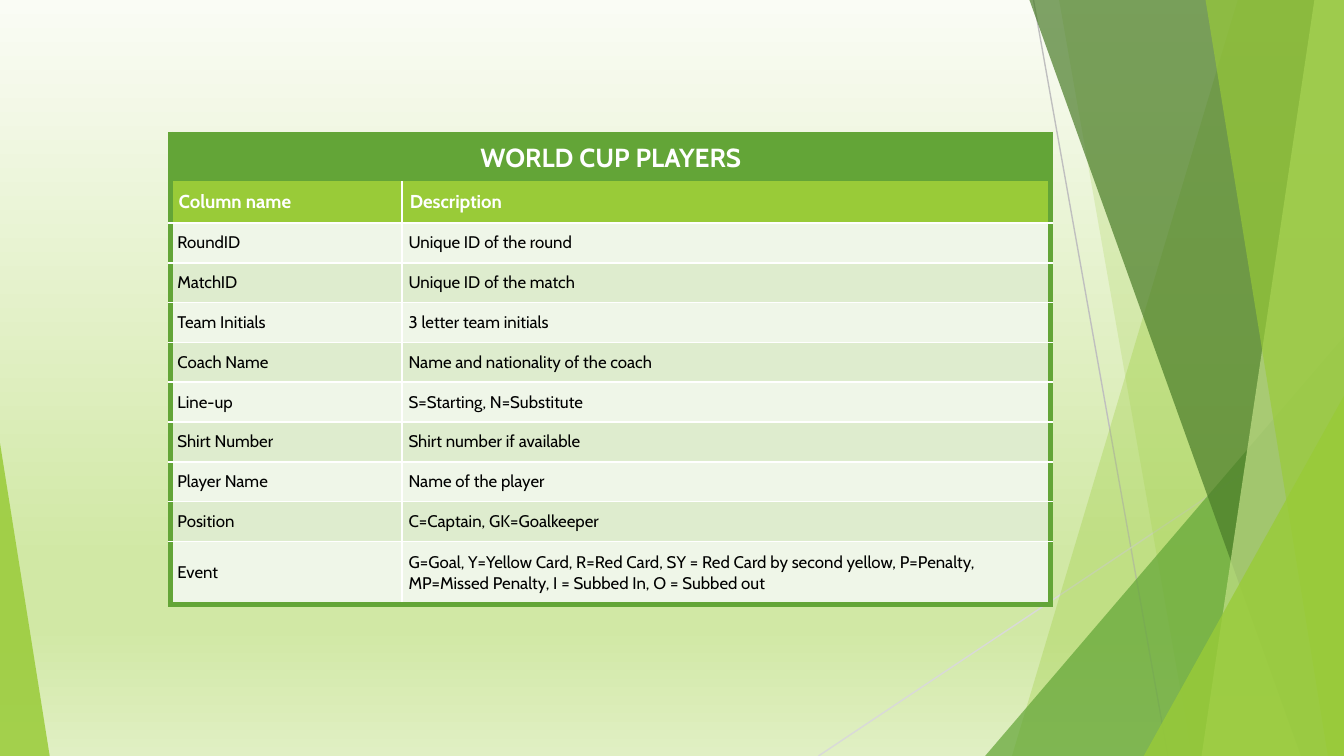
from lxml.etree import SubElement
from pptx import Presentation
from pptx.dml.color import RGBColor
from pptx.enum.shapes import MSO_CONNECTOR, MSO_SHAPE
from pptx.enum.text import MSO_ANCHOR, PP_ALIGN
from pptx.oxml.ns import qn
from pptx.util import Inches, Pt

WIDTH = 10
HEIGHT = WIDTH * 9 / 16
GREEN, LIME, WHITE, BLACK = "63A537", "99CB38", "FFFFFF", "000000"
BAND_FILLS = ["EFF6E8", "DEECCE"]
BACKGROUND_STOPS = [(0, "FAFCF5"), (74, "D1E8A5"), (83, "D1E8A5"), (100, "E0EFC3")]

# start, end, colour
THIN_LINES = [((7.69, 0), (8.69, HEIGHT), "BFBFBF"), ((10, 3.02), (6.09, HEIGHT), "D9D9D9")]
# Each band reaches the right edge: top left x, bottom left x, colour, opacity in percent
BACK_BANDS = [(9.21, 7.53, LIME, 30), (7.88, 8.87, LIME, 20)]
FRONT_BANDS = [(7.66, 9.68, "4A7C29", 70), (9.78, 8.94, "C2E088", 70), (8.97, 9.88, LIME, 65)]
# Each triangle stands on the bottom edge: left, width, height, apex, colour, opacity
BACK_TRIANGLE = (7.33, 2.67, 3.12, 1, GREEN, 72)
FRONT_TRIANGLES = [(8.51, 1.49, 2.68, 1, LIME, 80), (0, 0.37, 2.33, 0, LIME, 85)]

TITLE = "WORLD CUP PLAYERS"
HEADINGS = ("Column name", "Description")
FIELDS = [
    ("RoundID", "Unique ID of the round"),
    ("MatchID", "Unique ID of the match"),
    ("Team Initials", "3 letter team initials"),
    ("Coach Name", "Name and nationality of the coach"),
    ("Line-up", "S=Starting, N=Substitute"),
    ("Shirt Number", "Shirt number if available"),
    ("Player Name", "Name of the player"),
    ("Position", "C=Captain, GK=Goalkeeper"),
    ("Event", "G=Goal, Y=Yellow Card, R=Red Card, SY = Red Card by second yellow, "
              "P=Penalty, MP=Missed Penalty, I = Subbed In, O = Subbed out"),
]
COLUMN_WIDTHS = [1.72, 4.83]
TABLE_HEIGHT = 3.5
TITLE_HEIGHT, HEADING_HEIGHT, EVENT_HEIGHT = 0.35, 0.31, 0.47
FIELD_HEIGHT = (TABLE_HEIGHT - TITLE_HEIGHT - HEADING_HEIGHT - EVENT_HEIGHT) / (len(FIELDS) - 1)
ROW_HEIGHTS = [TITLE_HEIGHT, HEADING_HEIGHT] + [FIELD_HEIGHT] * (len(FIELDS) - 1) + [EVENT_HEIGHT]


def rgb(color):
    return RGBColor.from_string(color)


def paint_background(slide):
    fill = slide.background.fill
    fill.gradient()
    fill.gradient_angle = 270
    stop_list = next(slide.element.iter(qn("a:gsLst")))
    for stop in list(stop_list):
        stop_list.remove(stop)
    for position, color in BACKGROUND_STOPS:
        stop = SubElement(stop_list, qn("a:gs"), pos=str(position * 1000))
        SubElement(stop, qn("a:srgbClr"), val=color)


def add_thin_line(slide, start, end, color):
    line = slide.shapes.add_connector(
        MSO_CONNECTOR.STRAIGHT, *[Inches(value) for value in start + end])
    line.line.color.rgb = rgb(color)
    line.line.width = Pt(0.75)
    SubElement(line.element.spPr, qn("a:effectLst"))


def paint_translucent(shape, color, opacity):
    shape.shadow.inherit = False
    shape.line.fill.background()
    shape.fill.solid()
    shape.fill.fore_color.rgb = rgb(color)
    color_element = next(shape.element.spPr.iter(qn("a:srgbClr")))
    SubElement(color_element, qn("a:alpha"), val=str(opacity * 1000))


def add_band(slide, top_x, bottom_x, color, opacity):
    corners = [(top_x, 0), (WIDTH, 0), (WIDTH, HEIGHT), (bottom_x, HEIGHT)]
    points = [(Inches(x), Inches(y)) for x, y in corners]
    builder = slide.shapes.build_freeform(*points[0])
    builder.add_line_segments(points[1:], close=True)
    paint_translucent(builder.convert_to_shape(), color, opacity)


def add_triangle(slide, left, width, height, apex, color, opacity):
    triangle = slide.shapes.add_shape(
        MSO_SHAPE.ISOSCELES_TRIANGLE,
        Inches(left), Inches(HEIGHT - height), Inches(width), Inches(height))
    triangle.adjustments[0] = apex
    paint_translucent(triangle, color, opacity)


def set_borders(cell, row, column):
    """Green outer frame, white inner rules, and no rule under the title."""
    outer, inner = (GREEN, 3), (WHITE, 1)
    last_row = len(ROW_HEIGHTS) - 1
    borders = {
        "a:lnL": outer if column == 0 or row == 0 else inner,
        "a:lnR": outer if column == 1 or row == 0 else inner,
        "a:lnT": outer if row == 0 else None if row == 1 else inner,
        "a:lnB": None if row == 0 else outer if row == last_row else inner,
    }
    properties = cell._tc.get_or_add_tcPr()
    for tag, border in borders.items():
        if border is None:
            SubElement(SubElement(properties, qn(tag)), qn("a:noFill"))
            continue
        color, width = border
        line = SubElement(properties, qn(tag), w=str(Pt(width)))
        SubElement(SubElement(line, qn("a:solidFill")), qn("a:srgbClr"), val=color)


def fill_cell(cell, text, fill, size, color, bold):
    cell.fill.solid()
    cell.fill.fore_color.rgb = rgb(fill)
    cell.vertical_anchor = MSO_ANCHOR.MIDDLE
    cell.margin_left = cell.margin_right = Inches(0.06 if bold else 0.05)
    cell.margin_top = cell.margin_bottom = Inches(0.04 if bold else 0)
    cell.text = text
    paragraph = cell.text_frame.paragraphs[0]
    if not bold:
        paragraph.space_before, paragraph.space_after = Pt(6), Pt(4.5)
    font = paragraph.font
    font.name, font.size, font.bold = "Cabin", Pt(size), bold
    font.color.rgb = rgb(color)


def add_field_table(slide):
    rows = [(TITLE, ""), HEADINGS] + FIELDS
    table = slide.shapes.add_table(
        len(rows), len(COLUMN_WIDTHS), Inches(1.27), Inches(1),
        Inches(sum(COLUMN_WIDTHS)), Inches(TABLE_HEIGHT)).table
    for column, width in zip(table.columns, COLUMN_WIDTHS):
        column.width = Inches(width)
    for row, height in zip(table.rows, ROW_HEIGHTS):
        row.height = Inches(height)
    for row, texts in enumerate(rows):
        if row == 0:
            style = (GREEN, 14, WHITE, True)
        elif row == 1:
            style = (LIME, 10, WHITE, True)
        else:
            style = (BAND_FILLS[row % 2], 9, BLACK, False)
        for column, text in enumerate(texts):
            cell = table.cell(row, column)
            set_borders(cell, row, column)
            fill_cell(cell, text, *style)
    title_cell = table.cell(0, 0)
    title_cell.merge(table.cell(0, 1))
    title_cell.text_frame.paragraphs[0].alignment = PP_ALIGN.CENTER


def main():
    presentation = Presentation()
    presentation.slide_width, presentation.slide_height = Inches(WIDTH), Inches(HEIGHT)
    slide = presentation.slides.add_slide(presentation.slide_layouts.get_by_name("Blank"))
    paint_background(slide)
    for line in THIN_LINES:
        add_thin_line(slide, *line)
    for band in BACK_BANDS:
        add_band(slide, *band)
    add_triangle(slide, *BACK_TRIANGLE)
    for band in FRONT_BANDS:
        add_band(slide, *band)
    for triangle in FRONT_TRIANGLES:
        add_triangle(slide, *triangle)
    add_field_table(slide)
    presentation.save("out.pptx")


if __name__ == "__main__":
    main()
